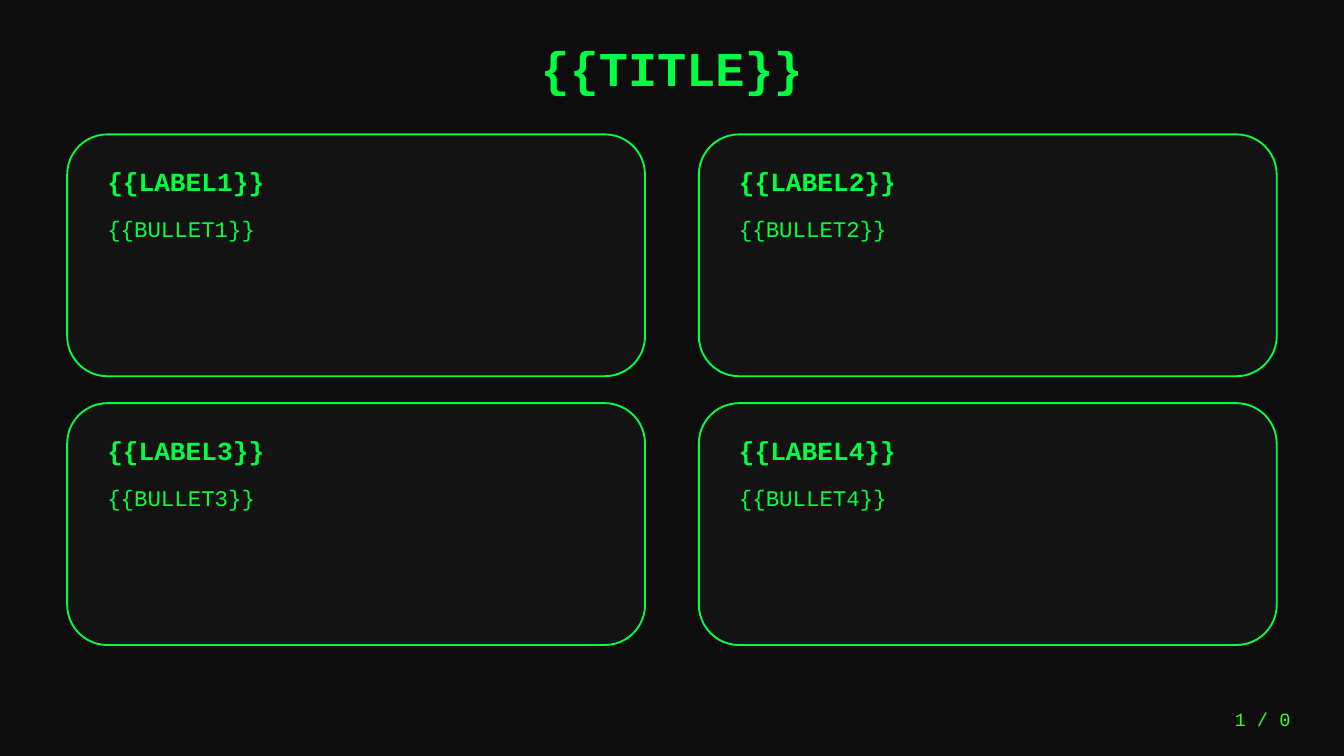
from dataclasses import dataclass
from itertools import product

from lxml.etree import SubElement
from pptx import Presentation
from pptx.dml.color import RGBColor
from pptx.enum.shapes import MSO_SHAPE
from pptx.enum.text import MSO_ANCHOR, PP_ALIGN
from pptx.oxml.ns import qn
from pptx.util import Pt


@dataclass(frozen=True)
class Theme:
    font: str = "Courier New"
    background: str = "0D0D0D"
    panel: str = "141414"
    panel_opacity: int = 90
    green: str = "00FF41"
    neon: str = "39FF14"
    title_size: int = 26
    label_size: int = 14
    bullet_size: int = 12
    page_size: int = 10


class SlideBuilder:
    def __init__(self, slide, theme):
        self.slide = slide
        self.theme = theme

    def background(self):
        fill = self.slide.background.fill
        fill.solid()
        fill.fore_color.rgb = RGBColor.from_string(self.theme.background)

    def text(self, left, top, width, height, content, size, color=None,
             bold=False, align=PP_ALIGN.LEFT, anchor=MSO_ANCHOR.MIDDLE):
        box = self.slide.shapes.add_textbox(Pt(left), Pt(top), Pt(width), Pt(height))
        frame = box.text_frame
        frame.word_wrap = True
        frame.vertical_anchor = anchor
        paragraph = frame.paragraphs[0]
        paragraph.alignment = align
        run = paragraph.add_run()
        run.text = content
        run.font.name = self.theme.font
        run.font.size = Pt(size)
        run.font.bold = bold
        run.font.color.rgb = RGBColor.from_string(color or self.theme.green)

    def panel(self, left, top, width, height):
        shape = self.slide.shapes.add_shape(
            MSO_SHAPE.ROUNDED_RECTANGLE, Pt(left), Pt(top), Pt(width), Pt(height))
        shape.shadow.inherit = False
        shape.fill.solid()
        shape.fill.fore_color.rgb = RGBColor.from_string(self.theme.panel)
        color = shape.fill._xPr.find(qn("a:solidFill")).find(qn("a:srgbClr"))
        SubElement(color, qn("a:alpha"), val=str(self.theme.panel_opacity * 1000))
        shape.line.color.rgb = RGBColor.from_string(self.theme.green)
        shape.line.width = Pt(1)

    def card(self, left, top, width, height, label, bullet):
        padding = 14.4
        text_left, text_width = left + padding, width - 2 * padding
        self.panel(left, top, width, height)
        self.text(text_left, top + 10.8, text_width, 28.8, label,
                  self.theme.label_size, bold=True)
        self.text(text_left, top + 39.6, text_width, 72, bullet,
                  self.theme.bullet_size, anchor=MSO_ANCHOR.TOP)


def main():
    presentation = Presentation()
    presentation.slide_width = Pt(720)
    presentation.slide_height = Pt(405)
    theme = Theme()
    slide = presentation.slides.add_slide(presentation.slide_layouts[6])
    builder = SlideBuilder(slide, theme)
    builder.background()

    # Title
    builder.text(36, 14.4, 648, 43.2, "{{TITLE}}", theme.title_size,
                 bold=True, align=PP_ALIGN.CENTER)

    # Two-by-two grid of cards
    card_width, card_height = 309.6, 129.6
    column_gap, row_gap = 28.8, 14.4
    for number, (row, column) in enumerate(product(range(2), repeat=2), start=1):
        builder.card(36 + column * (card_width + column_gap),
                     72 + row * (card_height + row_gap),
                     card_width, card_height,
                     f"{{{{LABEL{number}}}}}", f"{{{{BULLET{number}}}}}")

    # Page number
    builder.text(612, 374.4, 86.4, 21.6, "1 / 0", theme.page_size,
                 color=theme.neon, align=PP_ALIGN.RIGHT)

    presentation.save("out.pptx")


if __name__ == "__main__":
    main()
